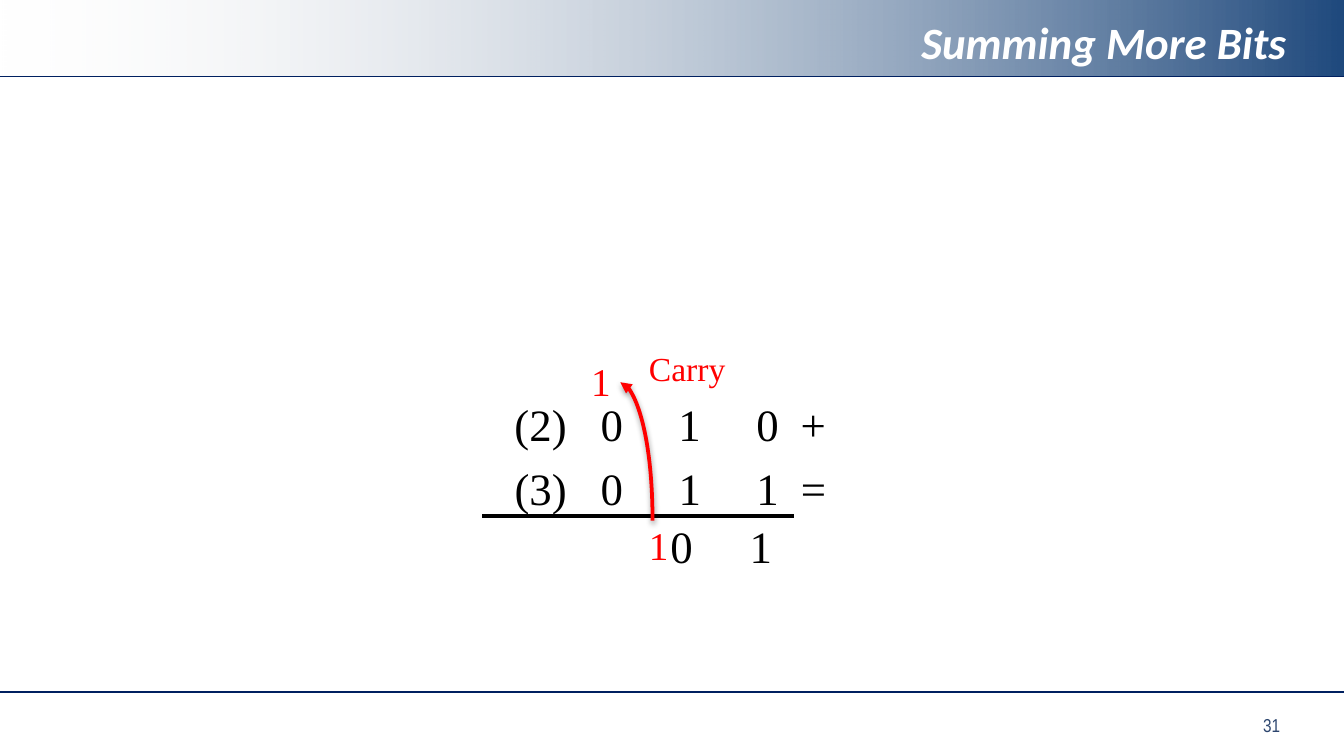
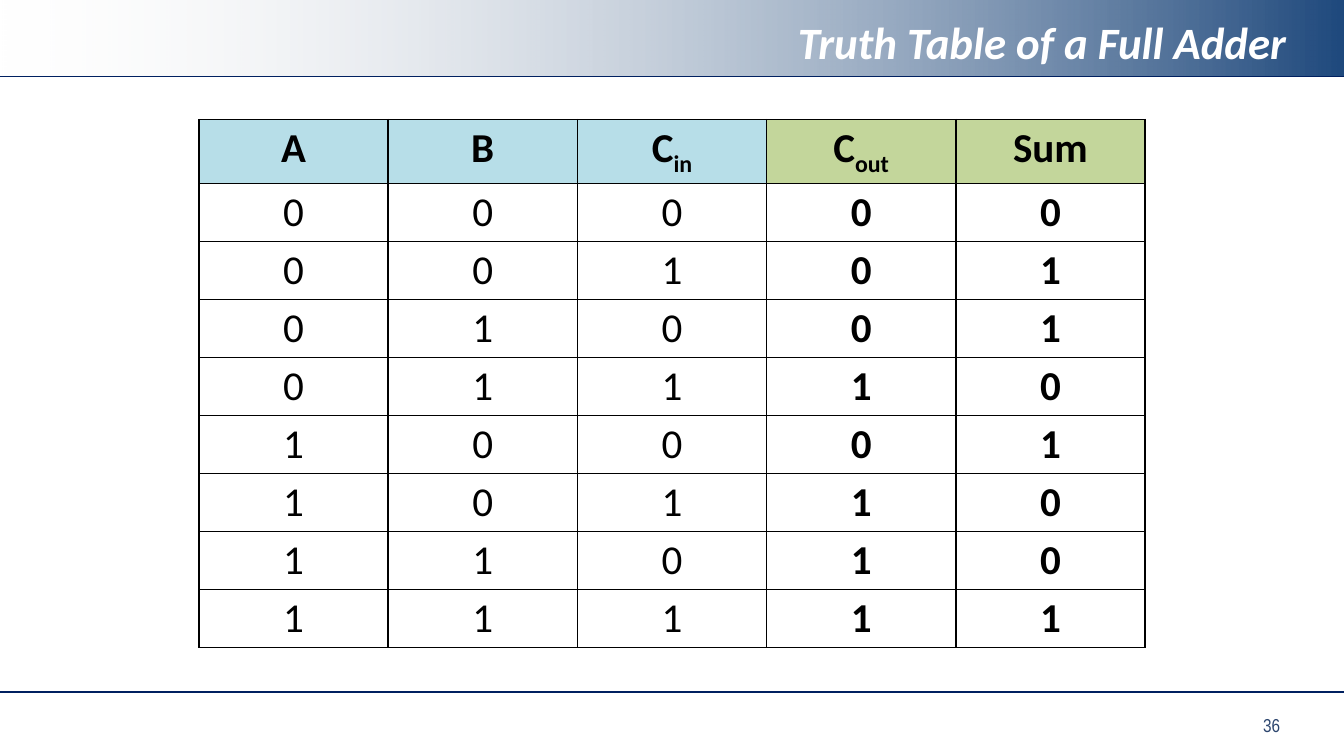
from itertools import product

from lxml import etree
from pptx import Presentation
from pptx.dml.color import RGBColor
from pptx.enum.shapes import MSO_CONNECTOR as CONN, MSO_SHAPE as SHAPE
from pptx.enum.text import MSO_ANCHOR as ANCHOR, MSO_AUTO_SIZE as AUTO, PP_ALIGN as ALIGN
from pptx.oxml import parse_xml
from pptx.oxml.ns import nsdecls, qn
from pptx.util import Inches, Pt

BLACK = RGBColor(0x00, 0x00, 0x00)
WHITE = RGBColor(0xFF, 0xFF, 0xFF)
RED = RGBColor(0xFF, 0x00, 0x00)
PALE = RGBColor(0xEA, 0xEA, 0xEA)
BLUE = RGBColor(0x1F, 0x49, 0x7D)
NAVY = RGBColor(0x00, 0x20, 0x60)
SLATE = RGBColor(0x2C, 0x45, 0x6E)
INPUT_FILL = RGBColor(0xB7, 0xDE, 0xE8)
OUTPUT_FILL = RGBColor(0xC3, 0xD6, 0x9B)
SERIF = "Times New Roman"
SANS = "Calibri"


def add_text(s, text, box, size, font, color, tabs=(), wrap=True):
    tf = s.shapes.add_textbox(*map(Inches, box)).text_frame
    tf.word_wrap = wrap
    tf.auto_size = AUTO.SHAPE_TO_FIT_TEXT
    p = tf.paragraphs[0]
    if tabs:
        tab_list = etree.SubElement(p._p.get_or_add_pPr(), qn("a:tabLst"))
        for pos in tabs:
            etree.SubElement(tab_list, qn("a:tab"), pos=str(Inches(pos)), algn="l")
    r = p.add_run()
    r.text = text
    r.font.size, r.font.name, r.font.color.rgb = Pt(size), font, color


def add_line(s, kind, ends, color, width):
    line = s.shapes.add_connector(kind, *map(Inches, ends))
    line.line.color.rgb, line.line.width = color, Pt(width)
    etree.SubElement(line._element.spPr, qn("a:effectLst"))
    return line


# Widescreen, 16:9
prs = Presentation()
prs.slide_width = Inches(10)
prs.slide_height = prs.slide_width * 9 // 16

# Shared band, rules, page number and title
slides = []
for title, number in (("Summing More Bits", "31"), ("Truth Table of a Full Adder", "36")):
    s = prs.slides.add_slide(prs.slide_layouts[5])
    slides.append(s)

    band = s.shapes.add_shape(SHAPE.RECTANGLE, 0, 0, Inches(10), Inches(0.57))
    band.shadow.inherit = False
    band.line.fill.background()
    band.fill.gradient()
    band.fill.gradient_angle = 0
    for stop, color, pos in zip(band.fill.gradient_stops, (PALE, BLUE), (0, 1)):
        stop.color.rgb, stop.position = color, pos
    pale_stop = band._element.spPr.find(".//" + qn("a:srgbClr"))
    etree.SubElement(pale_stop, qn("a:alpha"), val="0")

    add_line(s, CONN.STRAIGHT, (10, 0.57, 0, 0.57), NAVY, 0.75)
    add_text(s, number, (9.3, 5.26, 0.55, 0.27), 10, "Arial Narrow", SLATE)
    add_line(s, CONN.STRAIGHT, (10, 5.15, 0, 5.15), NAVY, 0.75)

    sp = s.shapes.title
    s.shapes._spTree.append(sp._element)  # in front of the band
    sp.left, sp.top, sp.width, sp.height = map(Inches, (0.5, 0.06, 9.17, 0.5))
    tf = sp.text_frame
    tf.auto_size, tf.vertical_anchor = AUTO.NONE, ANCHOR.MIDDLE
    p = tf.paragraphs[0]
    p.alignment = ALIGN.RIGHT
    r = p.add_run()
    r.text = title
    r.font.size, r.font.name, r.font.color.rgb = Pt(24), SANS, WHITE
    r.font.bold = r.font.italic = True

adder, truth = slides

# Binary addition: the operands, then the sum so far
operand_tabs = (0.64, 1.22, 1.8, 2.13)
for text, top, width, tabs in (
    ("(3)\t0\t1\t1\t=", 3.38, 2.92, operand_tabs),
    ("(2)\t0\t1\t0\t+", 2.9, 3.94, operand_tabs),
    ("\t0\t1", 3.81, 2.75, (1.16, 1.75)),
):
    add_text(adder, text, (3.73, top, width, 0.5), 24, SERIF, BLACK, tabs)
add_line(adder, CONN.STRAIGHT, (3.59, 3.84, 5.91, 3.84), BLACK, 2)

# Carry bit and its curved arrow
add_text(adder, "1", (4.3, 2.61, 0.32, 0.45), 21, SERIF, RED)
arrow = add_line(adder, CONN.CURVE, (4.22, 3.48, 5.25, 3.24), RED, 2)
sp_pr = arrow._element.spPr
sp_pr.find(qn("a:xfrm")).set("rot", str(270 * 60000))
sp_pr.find(qn("a:prstGeom")).set("prst", "curvedConnector2")
etree.SubElement(sp_pr.find(qn("a:ln")), qn("a:tailEnd"), type="triangle")
sp_pr.find(qn("a:effectLst")).append(parse_xml(
    f'<a:outerShdw {nsdecls("a")} blurRad="40000" dist="20000" dir="5400000" rotWithShape="0">'
    '<a:srgbClr val="000000"><a:alpha val="38000"/></a:srgbClr></a:outerShdw>'))
add_text(adder, "Carry", (4.73, 2.54, 0.81, 0.4), 18, SERIF, RED, wrap=False)
add_text(adder, "1", (4.73, 3.83, 0.32, 0.45), 21, SERIF, RED)

# Truth table: each cell is a base text and a subscript
rows = [[("A", ""), ("B", ""), ("C", "in"), ("C", "out"), ("Sum", "")]]
for bits in product((0, 1), repeat=3):
    carry, total = divmod(sum(bits), 2)
    rows.append([(str(bit), "") for bit in (*bits, carry, total)])

table = truth.shapes.add_table(
    len(rows), 5, Inches(1.48), Inches(0.89), Inches(7.04), Inches(3.85)).table
table.first_row = table.horz_banding = False
for i, row in enumerate(rows):
    for j, parts in enumerate(row):
        cell = table.cell(i, j)
        cell.margin_left = cell.margin_right = Inches(0.06)
        cell.margin_top = cell.margin_bottom = Inches(0.03)
        p = cell.text_frame.paragraphs[0]
        p.alignment = ALIGN.CENTER
        for text, baseline in zip(parts, (0, -25000)):
            if text:
                r = p.add_run()
                r.text = text
                r.font.size, r.font.name, r.font.color.rgb = Pt(22), SANS, BLACK
                r.font.bold = i == 0 or j > 2
                if baseline:
                    r.font._element.set("baseline", str(baseline))
        # Borders come before the fill in the cell properties
        for side in ("L", "R", "T", "B"):
            cell._tc.get_or_add_tcPr().append(parse_xml(
                f'<a:ln{side} {nsdecls("a")} w="{Pt(1)}"><a:solidFill>'
                f'<a:srgbClr val="{BLACK}"/></a:solidFill></a:ln{side}>'))
        if i == 0:
            cell.fill.solid()
            cell.fill.fore_color.rgb = INPUT_FILL if j < 3 else OUTPUT_FILL
        else:
            cell.fill.background()

prs.save("out.pptx")
